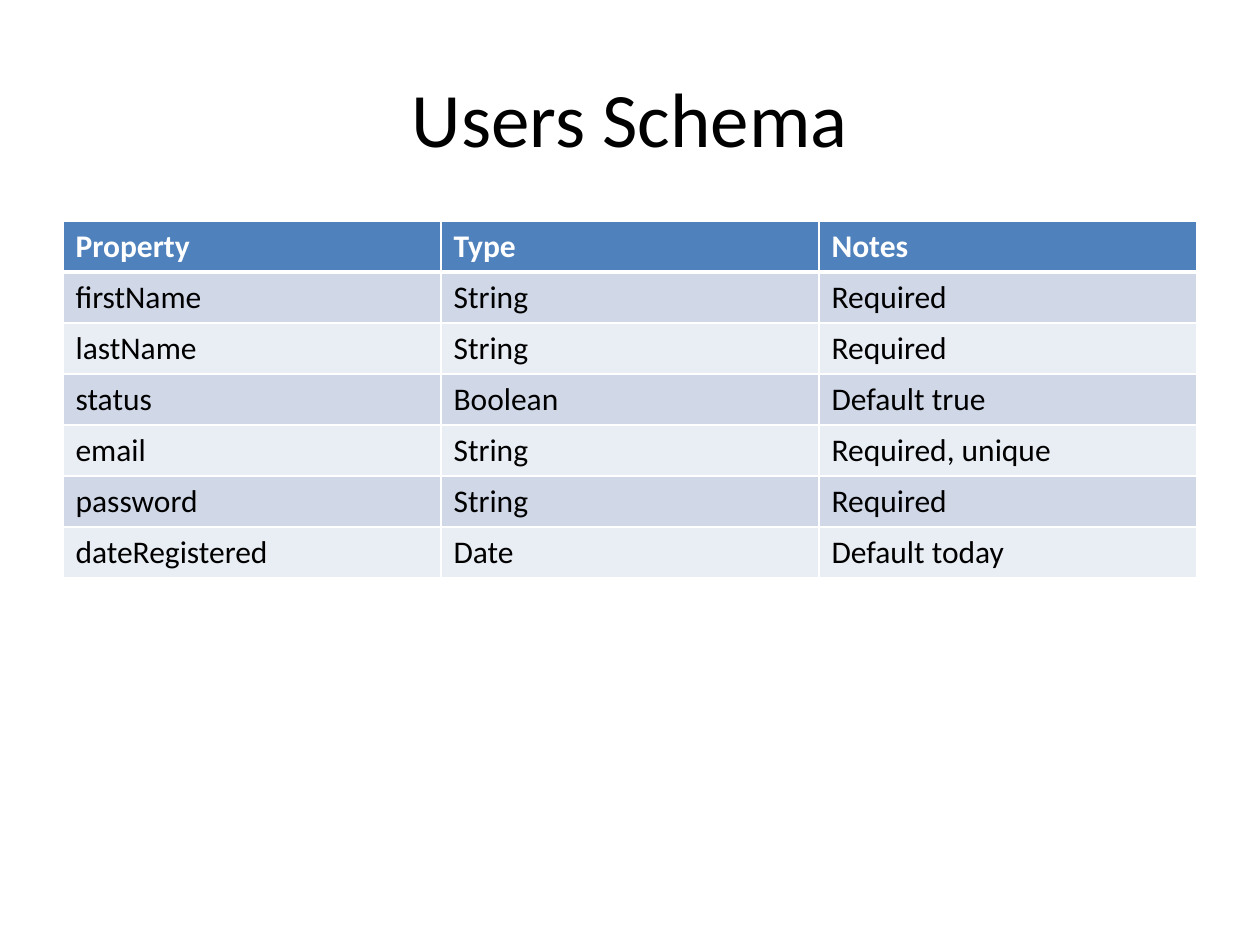
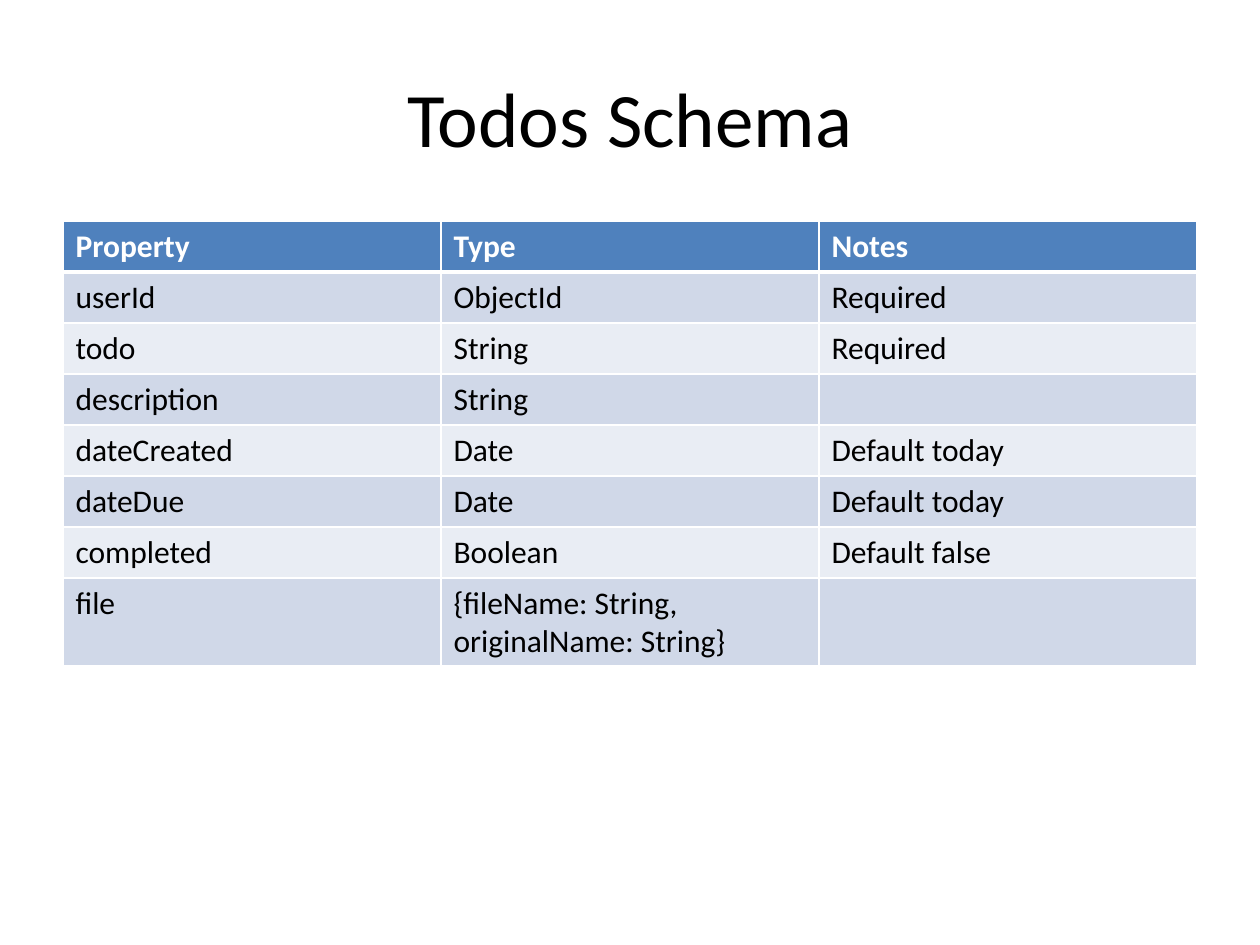
import lxml.etree
import pptx
import pptx.dml.color
import pptx.enum.text
import pptx.oxml.ns
import pptx.util

PX = 914400 / 126
COLUMNS = ("Property", "Type", "Notes")
USERS = (
    ("firstName", "String", "Required"),
    ("lastName", "String", "Required"),
    ("status", "Boolean", "Default true"),
    ("email", "String", "Required, unique"),
    ("password", "String", "Required"),
    ("dateRegistered", "Date", "Default today"),
)
TODOS = (
    ("userId", "ObjectId", "Required"),
    ("todo", "String", "Required"),
    ("description", "String", ""),
    ("dateCreated", "Date", "Default today"),
    ("dateDue", "Date", "Default today"),
    ("completed", "Boolean", "Default false"),
    ("file", "{fileName: String, originalName: String}", ""),
)


def px(length):
    return pptx.util.Emu(round(length * PX))


def color(value):
    return pptx.dml.color.RGBColor.from_string(value)


class SchemaDeck:
    font = "Calibri"
    ink = "000000"
    paper = "FFFFFF"
    header_fill = "4F81BD"
    band_fills = ("D0D8E8", "E9EDF4")
    left, width = 63, 1134
    row_height, tall_row_height = 51, 88
    column_chars = 30

    def __init__(self):
        self.deck = pptx.Presentation()
        self.deck.slide_width = px(1260)
        self.deck.slide_height = px(945)
        self.page = None

    def add_page(self):
        self.page = self.deck.slides.add_slide(self.deck.slide_layouts[6])

    def format_text(self, frame, size, ink, bold=False):
        for para in frame.paragraphs:
            for span in para.runs:
                span.font.name = self.font
                span.font.size = pptx.util.Pt(size)
                span.font.bold = bold
                span.font.color.rgb = color(ink)

    def add_title(self, text):
        box = self.page.shapes.add_textbox(px(self.left), px(38), px(self.width), px(158))
        frame = box.text_frame
        frame.word_wrap = True
        frame.vertical_anchor = pptx.enum.text.MSO_ANCHOR.MIDDLE
        frame.text = text
        frame.paragraphs[0].alignment = pptx.enum.text.PP_ALIGN.CENTER
        self.format_text(frame, 44, self.ink)

    def add_borders(self, cell, top, bottom):
        properties = cell._tc.get_or_add_tcPr()
        for side, points in (("L", 1), ("R", 1), ("T", top), ("B", bottom)):
            line = lxml.etree.SubElement(
                properties, pptx.oxml.ns.qn(f"a:ln{side}"), w=str(pptx.util.Pt(points)))
            fill = lxml.etree.SubElement(line, pptx.oxml.ns.qn("a:solidFill"))
            lxml.etree.SubElement(fill, pptx.oxml.ns.qn("a:srgbClr"), val=self.paper)

    def add_table(self, fields):
        rows = (COLUMNS, *fields)
        heights = [
            self.tall_row_height if max(map(len, row)) > self.column_chars else self.row_height
            for row in rows
        ]
        table = self.page.shapes.add_table(
            len(rows), len(COLUMNS), px(self.left), px(221),
            px(self.width), px(sum(heights))).table
        for row_index, row in enumerate(rows):
            table.rows[row_index].height = px(heights[row_index])
            is_header = row_index == 0
            fill = self.header_fill if is_header else self.band_fills[(row_index - 1) % 2]
            for column_index, text in enumerate(row):
                cell = table.cell(row_index, column_index)
                self.add_borders(cell, 3 if row_index == 1 else 1, 3 if is_header else 1)
                cell.fill.solid()
                cell.fill.fore_color.rgb = color(fill)
                if text:
                    cell.text_frame.text = text
                    self.format_text(
                        cell.text_frame, 18, self.paper if is_header else self.ink, is_header)

    def add_schema(self, title, fields):
        self.add_page()
        self.add_title(title)
        self.add_table(fields)


def main():
    schemas = SchemaDeck()
    schemas.add_schema("Users Schema", USERS)
    schemas.add_schema("Todos Schema", TODOS)
    schemas.deck.save("out.pptx")


if __name__ == "__main__":
    main()
